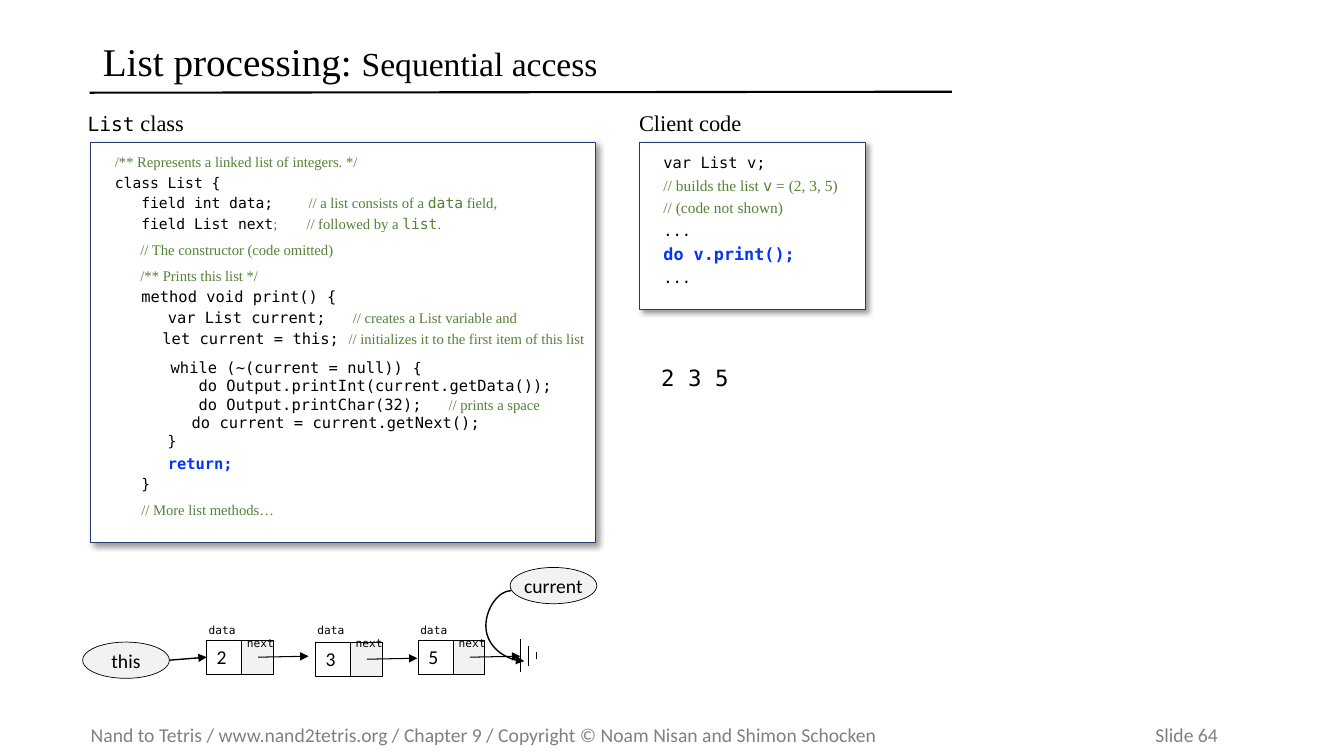
from lxml import etree
from pptx import Presentation
from pptx.dml.color import RGBColor
from pptx.enum.shapes import MSO_CONNECTOR, MSO_SHAPE
from pptx.enum.text import MSO_ANCHOR, PP_ALIGN
from pptx.oxml.ns import qn
from pptx.util import Emu, Inches, Pt

RECT, OVAL = MSO_SHAPE.RECTANGLE, MSO_SHAPE.OVAL
LINE, CURVE = MSO_CONNECTOR.STRAIGHT, MSO_CONNECTOR.CURVE
TOP, MID = MSO_ANCHOR.TOP, MSO_ANCHOR.MIDDLE
LEFT, MIDDLE = PP_ALIGN.LEFT, PP_ALIGN.CENTER
CELL = Inches(0.1)  # side of one square of the layout grid

MONO, SERIF, SANS = "DejaVu Sans Mono", "Times New Roman", "Calibri"
BLACK, GREEN, BLUE = "000000", "548235", "0432FF"
WHITE, PALE, NAVY, GREY = "FFFFFF", "F2F2F2", "293973", "808080"

# Text styles: font, size, colour, bold
CODE, CODE_L = (MONO, 10.5, BLACK, False), (MONO, 11, BLACK, False)
NOTE, NOTE_L = (SERIF, 10.5, GREEN, False), (SERIF, 11, GREEN, False)
WORD, WORD_L = (MONO, 10.5, GREEN, False), (MONO, 11, GREEN, False)
KEY, KEY_L = (MONO, 11, BLUE, True), (MONO, 12, BLUE, True)
HEAD, HEAD_M = (SERIF, 16, BLACK, False), (MONO, 14, BLACK, False)
NAME, TINY = (SANS, 14, BLACK, False), (MONO, 8, BLACK, False)

# Code lines: space before in points, tab stop in cells, runs
CLASS = [
    (0, 0, [("/** Represents a linked list of integers. */", NOTE)]),
    (2, 0, [("class List {", CODE)]),
    (2, 19.2, [("   field int data;\t", CODE), ("// a list consists of a ", NOTE),
               ("data", WORD), (" field,", NOTE)]),
    (2, 19, [("   field List next", CODE), (";\t// followed by a ", NOTE),
             ("list", WORD), (".", NOTE)]),
    (6, 0, [("       // The constructor (code omitted)", NOTE)]),
    (6, 0, [("       /** Prints this list */", NOTE)]),
    (2, 0, [("   ", CODE), ("method void print() {", CODE_L)]),
    (2, 23.6, [("      ", CODE), ("var List current;\t", CODE_L),
               ("// creates a List variable and", NOTE)]),
    (2, 0, [("             ", NOTE), ("let current = this; ", CODE_L),
            ("// initializes it to the first item of this list", NOTE)]),
    (7, 0, [("      while (~(current = null)) ", CODE_L), ("{", CODE)]),
    (0, 0, [("         do Output.printInt(current.getData());", CODE_L)]),
    (0, 33.1, [("         do Output.printChar(32);\t", CODE_L),
               ("// prints a space", NOTE)]),
    (0, 0, [("                     ", NOTE),
            ("do current = current.getNext();", CODE_L)]),
    (0, 0, [("      }", CODE)]),
    (3, 0, [("      ", CODE), ("return;", KEY)]),
    (2, 0, [("   }", CODE)]),
    (6, 0, [("   ", CODE), ("// More list methods…", NOTE)]),
]
CLIENT = [
    (0, 0, [("var List v;", CODE_L)]),
    (3, 0, [("// builds the list ", NOTE_L), ("v", WORD_L),
            (" = (2, 3, 5)", NOTE_L)]),
    (3, 0, [("// (code not shown)", NOTE_L)]),
    (3, 0, [("...", CODE_L)]),
    (3, 0, [("do v.print();", KEY_L)]),
    (3, 0, [("...", CODE_L)]),
]


def grid(*cells):
    return [Emu(round(CELL * n)) for n in cells]


def tint(code):
    return RGBColor.from_string(code)


def tag(node, label, **attrs):
    """Append a child element with the given attributes."""
    return etree.SubElement(node, qn(label), {k: str(v) for k, v in attrs.items()})


def style(font, look):
    font.name, font.bold = look[0], look[3]
    font.size, font.color.rgb = Pt(look[1]), tint(look[2])


def write(frame, lines, pad=(1, 0.5, 1, 0.5), anchor=TOP, align=LEFT):
    """Set lines of (space before, tab stop, runs) in a text frame."""
    frame.word_wrap, frame.vertical_anchor = True, anchor
    (frame.margin_left, frame.margin_top,
     frame.margin_right, frame.margin_bottom) = grid(*pad)
    for i, (space, stop, runs) in enumerate(lines):
        par = frame.add_paragraph() if i else frame.paragraphs[0]
        par.alignment, par.space_before = align, Pt(space)
        if stop:
            tabs = tag(par._p.get_or_add_pPr(), "a:tabLst")
            tag(tabs, "a:tab", pos=grid(stop)[0], algn="l")
        same = len({look for _, look in runs}) == 1
        if same:
            style(par.font, runs[0][1])
        for text, look in runs:
            run = par.add_run()
            run.text = text
            if not same:
                style(run.font, look)


def label(slide, box, lines, **how):
    text = slide.shapes.add_textbox(*grid(*box))
    write(text.text_frame, lines, **how)
    return text


def shape(slide, kind, box, fill, edge=None, width=0.75):
    form = slide.shapes.add_shape(kind, *grid(*box))
    form.shadow.inherit = False
    form.fill.solid()
    form.fill.fore_color.rgb = tint(fill)
    if edge:
        form.line.color.rgb, form.line.width = tint(edge), Pt(width)
    else:
        form.line.fill.background()
    return form


def line(slide, ends, width=0.75, arrow=False, kind=LINE):
    link = slide.shapes.add_connector(kind, *grid(*ends))
    link.line.color.rgb, link.line.width = tint(BLACK), Pt(width)
    if arrow:
        tag(link.line._get_or_add_ln(), "a:tailEnd", type="triangle")
    tag(link._element.spPr, "a:effectLst")
    return link


def panel(slide, box, lines):
    """Framed code listing with a soft shadow."""
    form = shape(slide, RECT, box, WHITE, NAVY)
    glow = form._element.spPr.find(qn("a:effectLst"))
    drop = tag(glow, "a:outerShdw", blurRad=Pt(4), dist=Pt(3), dir=45 * 60000,
               algn="tl", rotWithShape=0)
    tag(tag(drop, "a:srgbClr", val=BLACK), "a:alpha", val=40000)
    write(form.text_frame, lines, pad=(2.4, 1.1, 1, 1.1))


def node(slide, x, y, value):
    """List item: a data cell, a next cell and its outgoing arrow."""
    data = shape(slide, RECT, (x, y, 4.1, 3.4), WHITE, BLACK)
    write(data.text_frame, [(0, 0, [(value, NAME)])])
    shape(slide, RECT, (x + 3.5, y, 3.1, 3.4), PALE, BLACK)
    line(slide, (x + 5.1, y + 1.7, x + 10.1, y + 1.6), arrow=True)
    text = label(slide, (x - 0.8, 61.3, 8.6, 4.2),
                 [(0, 0, [("data", TINY)]), (0, 0, [("next", TINY)])])
    text.text_frame.paragraphs[1]._p.get_or_add_pPr().set(
        "marL", str(grid(3.8)[0]))
    return data


def bubble(slide, x, y, name):
    form = shape(slide, OVAL, (x, y, 8.6, 3.6), PALE, BLACK, 0.5)
    write(form.text_frame, [(0, 0, [(name, NAME)])], pad=(0, 0.5, 0, 0.5),
          anchor=MID, align=MIDDLE)


def chain(slide):
    """Linked list 2, 3, 5 with its two references and the null sign."""
    first = node(slide, 20.5, 63.5, "2")
    node(slide, 31.3, 63.7, "3")
    node(slide, 41.5, 63.5, "5")
    for x, top, end in [(51.6, 63.4, 66.7), (52.4, 64.1, 66.1), (53.2, 64.7, 65.4)]:
        line(slide, (x, top, x, end))
    bend = line(slide, (50.7, 58.6, 52, 65.6), 1, True, CURVE)
    form = bend._element.spPr.find(qn("a:prstGeom"))
    tag(form.find(qn("a:avLst")), "a:gd", name="adj1", fmla="val -193300")
    bubble(slide, 50.6, 56.3, "current")
    link = line(slide, (15.5, 65.6, 20.5, 65.5), 1, True)
    link.end_connect(first, 1)
    bubble(slide, 8.2, 63.7, "this")


def title(slide):
    head = slide.shapes.title
    head.left, head.top, head.width, head.height = grid(9.2, 3.2, 85.3, 6.3)
    write(head.text_frame, [(0, 0, [
        ("List processing: ", (SERIF, 28, BLACK, False)),
        ("Sequential access", (SERIF, 24, BLACK, False))])], anchor=MID)
    head.text_frame.paragraphs[0].line_spacing = 0.9
    line(slide, (8.9, 9.2, 94.4, 9.1), 1.5)


def main():
    deck = Presentation()
    deck.slide_width, deck.slide_height = Inches(13.33), Inches(7.5)
    slide = deck.slides.add_slide(deck.slide_layouts[5])
    title(slide)
    label(slide, (7.7, 10.3, 16, 4.2),
          [(0, 0, [("List", HEAD_M), (" class", HEAD)])])
    label(slide, (62.4, 10.3, 16, 4.2), [(0, 0, [("Client code", HEAD)])])
    panel(slide, (9, 14.1, 50.1, 39.7), CLASS)
    panel(slide, (63.4, 14.1, 22.4, 16.6), CLIENT)
    screen = shape(slide, RECT, (64.6, 35.6, 14.1, 8.9), WHITE)
    write(screen.text_frame, [(0, 0, [("2 3 5", (MONO, 16, BLACK, False))])])
    chain(slide)
    foot = ("Nand to Tetris / www.nand2tetris.org / Chapter 9 / "
            "Copyright © Noam Nisan and Shimon Schocken\tSlide 64")
    label(slide, (9, 71.2, 122.5, 3.4),
          [(0, 105.6, [(foot, (SANS, 14, GREY, False))])],
          pad=(0, 0.5, 0, 0.5), anchor=MID)
    deck.save("out.pptx")


if __name__ == "__main__":
    main()
